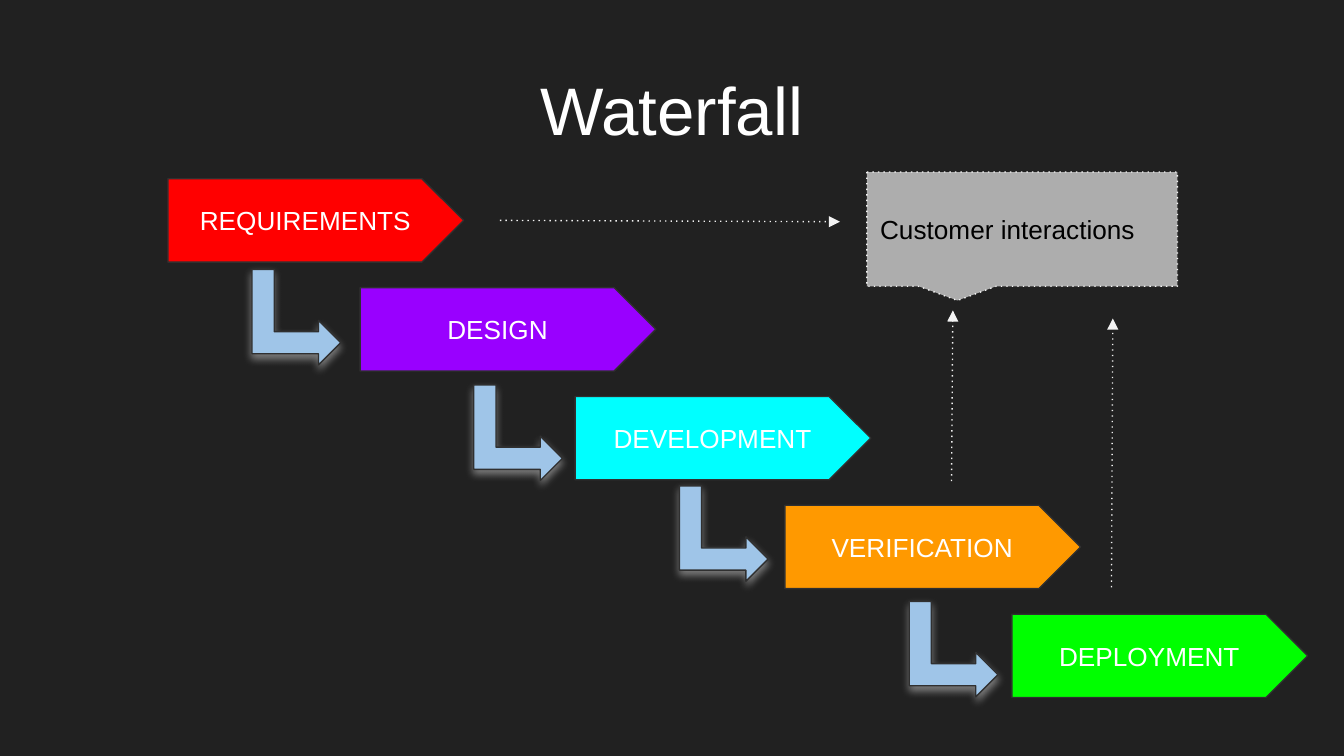
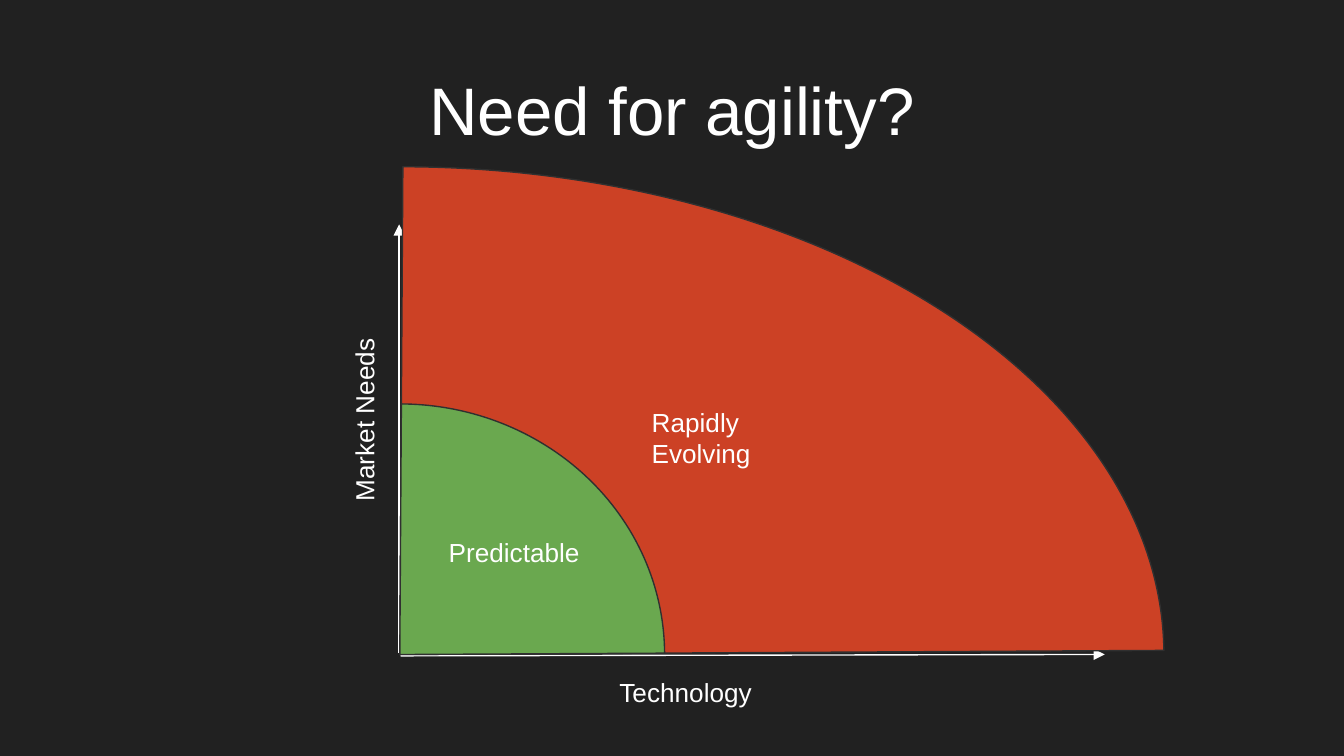
from typing import NamedTuple

from lxml.etree import SubElement
from pptx import Presentation
from pptx.dml.color import RGBColor
from pptx.enum.shapes import MSO_CONNECTOR, MSO_SHAPE as SHAPE
from pptx.enum.text import MSO_ANCHOR as ANCHOR, MSO_AUTO_SIZE, PP_ALIGN as ALIGN
from pptx.oxml.ns import qn
from pptx.util import Inches, Pt

# Shared style
BACKGROUND, WHITE, BLACK = "212121", "FFFFFF", "000000"
OUTLINE, PALE, GLOW = "303030", "F3F3F3", "D9D9D9"
FONT, TITLE_SIZE, TEXT_SIZE, LINE_WIDTH = "Arial", 36, 14, 0.75
PHASE_SIZE = (2.2, 0.62)
PHASE_TOP, PHASE_STEP = 1.33, 0.81
TURN_SIZE = (0.71, 0.66)
ORIGIN = (2.975, 4.87)  # where the two axes meet


class Box(NamedTuple):
    x: float
    y: float
    w: float
    h: float


class Phase(NamedTuple):
    text: str
    x: float
    fill: str


class Arrow(NamedTuple):
    x1: float
    y1: float
    x2: float
    y2: float


class Zone(NamedTuple):
    w: float
    h: float
    fill: str


class Label(NamedTuple):
    text: str
    box: Box
    rotation: int = 0


PHASES = [
    Phase("REQUIREMENTS", 1.25, "FF0000"),
    Phase("DESIGN", 2.68, "9900FF"),
    Phase("DEVELOPMENT", 4.28, "00FFFF"),
    Phase("VERIFICATION", 5.84, "FF9900"),
    Phase("DEPLOYMENT", 7.53, "00FF00"),
]
TURNS = [(1.85, 2.03), (3.5, 2.89), (5.03, 3.64), (6.74, 4.5)]
CUSTOMER_LINKS = [
    Arrow(3.72, 1.64, 6.25, 1.65),
    Arrow(7.08, 3.58, 7.09, 2.31),
    Arrow(8.27, 4.37, 8.28, 2.37),
]
AXES = [Arrow(2.97, 4.86, 2.97, 1.67), Arrow(2.98, 4.88, 8.22, 4.87)]
AXIS_LABELS = [
    Label("Market Needs", Box(1.92, 2.89, 1.51, 0.37), 270),
    Label("Technology", Box(4.51, 4.93, 1.51, 0.37)),
]
ZONES = [Zone(11.37, 7.26, "CC4125"), Zone(3.94, 3.73, "6AA84F")]
ZONE_LABELS = [
    Label("Predictable", Box(3.24, 3.89, 1.27, 0.49)),
    Label("Rapidly Evolving", Box(4.75, 2.92, 1.51, 0.49)),
]


def color(value: str) -> RGBColor:
    return RGBColor.from_string(value)


def inches(values) -> list:
    return [Inches(v) for v in values]


def write(s, text: str, *, size=TEXT_SIZE, fill=WHITE, align=ALIGN.LEFT,
          anchor=ANCHOR.TOP) -> None:
    tf = s.text_frame
    tf.word_wrap = True
    tf.auto_size = MSO_AUTO_SIZE.NONE
    tf.vertical_anchor = anchor
    tf.margin_left = tf.margin_right = tf.margin_top = tf.margin_bottom = Inches(0.1)
    p = tf.paragraphs[0]
    p.alignment = align
    r = p.add_run()
    r.text = text
    r.font.name, r.font.size = FONT, Pt(size)
    r.font.color.rgb = color(fill)


def style_line(s, value: str, dotted: bool = False) -> None:
    s.line.width = Pt(LINE_WIDTH)
    s.line.color.rgb = color(value)
    if dotted:
        SubElement(s.get_or_add_ln(), qn("a:prstDash"), val="dot")


def add_slide(prs, title: str):
    slide = prs.slides.add_slide(prs.slide_layouts[5])
    fill = slide.background.fill
    fill.solid()
    fill.fore_color.rgb = color(BACKGROUND)
    s = slide.shapes.title
    s.left, s.top, s.width, s.height = inches(Box(0.34, 0.49, 9.32, 0.63))
    write(s, title, size=TITLE_SIZE, align=ALIGN.CENTER, anchor=ANCHOR.MIDDLE)
    return slide


def add_shape(slide, kind: SHAPE, box: Box, fill: str, *, line=OUTLINE,
              dotted=False, rotation=0, adjust=()):
    s = slide.shapes.add_shape(kind, *inches(box))
    s.shadow.inherit = False
    s.fill.solid()
    s.fill.fore_color.rgb = color(fill)
    style_line(s, line, dotted)
    s.rotation = rotation
    for i, value in enumerate(adjust):
        s.adjustments[i] = value
    return s


def add_glow(s) -> None:
    effects = s.element.spPr.find(qn("a:effectLst"))
    shadow = SubElement(effects, qn("a:outerShdw"), blurRad=str(Pt(4.5)),
                        dist=str(Pt(2.25)), dir="5400000", algn="bl", rotWithShape="0")
    tint = SubElement(shadow, qn("a:srgbClr"), val=GLOW)
    SubElement(tint, qn("a:alpha"), val="50000")


def add_arrow(slide, arrow: Arrow, line: str, dotted: bool = False) -> None:
    s = slide.shapes.add_connector(MSO_CONNECTOR.STRAIGHT, *inches(arrow))
    style_line(s, line, dotted)
    SubElement(s.get_or_add_ln(), qn("a:tailEnd"), type="triangle")
    SubElement(s.element.spPr, qn("a:effectLst"))


def add_label(slide, label: Label) -> None:
    s = slide.shapes.add_textbox(*inches(label.box))
    s.rotation = label.rotation
    write(s, label.text)


def build_waterfall(prs) -> None:
    slide = add_slide(prs, "Waterfall")
    # Phases step down to the right
    for i, phase in enumerate(PHASES):
        box = Box(phase.x, PHASE_TOP + i * PHASE_STEP, *PHASE_SIZE)
        s = add_shape(slide, SHAPE.PENTAGON, box, phase.fill)
        write(s, phase.text, align=ALIGN.CENTER, anchor=ANCHOR.MIDDLE)
    # Turns between phases
    for x, y in TURNS:
        add_glow(add_shape(slide, SHAPE.BENT_UP_ARROW, Box(x, y, *TURN_SIZE),
                           "9FC5E8", rotation=90))
    # Customer callout and its links
    s = add_shape(slide, SHAPE.ROUNDED_RECTANGULAR_CALLOUT, Box(6.45, 1.28, 2.31, 0.85),
                  "ADADAD", line=PALE, dotted=True, adjust=(-0.208, 0.625, 0))
    write(s, "Customer interactions", fill=BLACK, anchor=ANCHOR.MIDDLE)
    for link in CUSTOMER_LINKS:
        add_arrow(slide, link, PALE, dotted=True)


def build_agility(prs) -> None:
    slide = add_slide(prs, "Need for agility?")
    # Axes
    for axis in AXES:
        add_arrow(slide, axis, WHITE)
    for label in AXIS_LABELS:
        add_label(slide, label)
    # Quarter ellipses centred on the origin
    for zone in ZONES:
        box = Box(ORIGIN[0] - zone.w / 2, ORIGIN[1] - zone.h / 2, zone.w, zone.h)
        add_shape(slide, SHAPE.PIE, box, zone.fill, rotation=180,
                  adjust=(54.215, 107.812))
    for label in ZONE_LABELS:
        add_label(slide, label)


def main() -> None:
    prs = Presentation()
    prs.slide_width, prs.slide_height = Inches(10), Inches(5.625)
    build_waterfall(prs)
    build_agility(prs)
    prs.save("out.pptx")


if __name__ == "__main__":
    main()
